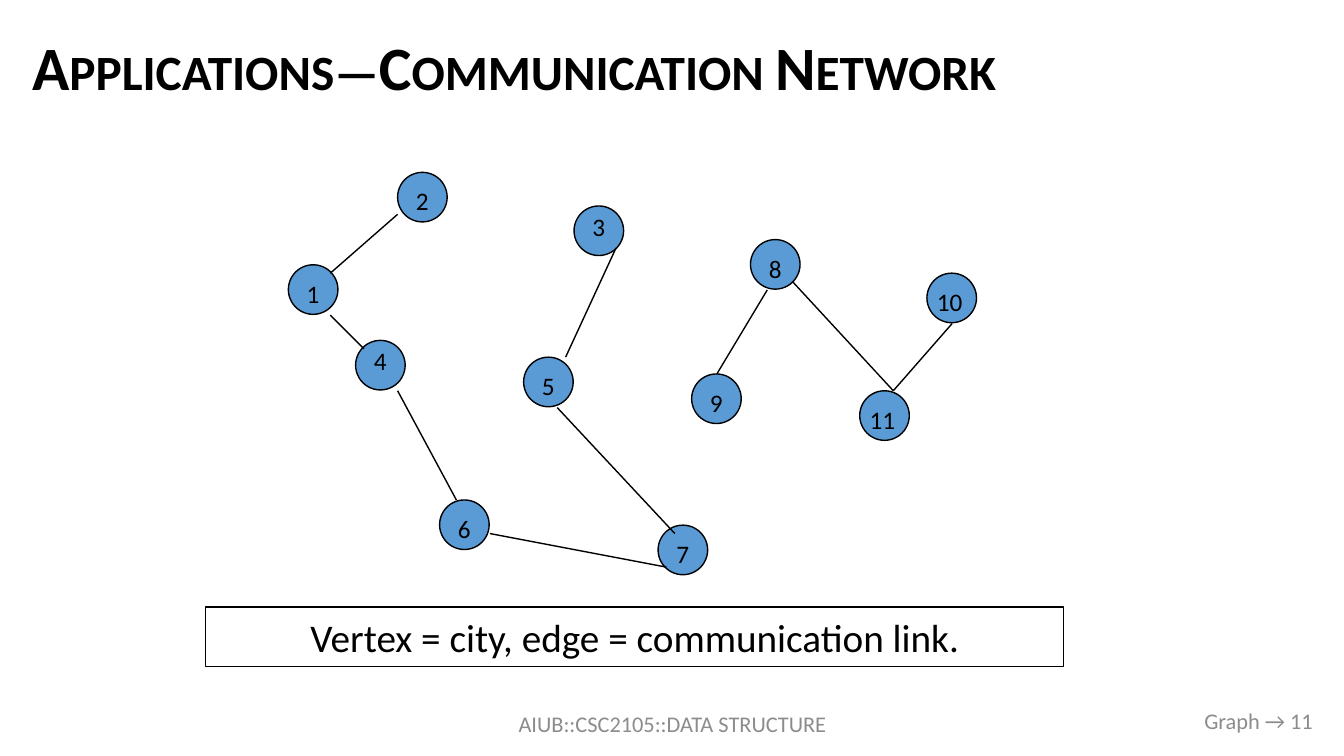
from dataclasses import dataclass

import pptx
import pptx.dml.color
import pptx.enum.shapes
import pptx.enum.text
import pptx.util
from lxml import etree

Align = pptx.enum.text.PP_ALIGN
Anchor = pptx.enum.text.MSO_ANCHOR


@dataclass(frozen=True)
class Theme:
    font: str = "Calibri"
    ink: str = "000000"
    muted: str = "8C8C8C"
    paper: str = "FFFFFF"
    node: str = "5B9BD5"
    title_size: int = 44
    caption_size: int = 28
    label_size: int = 18
    footer_size: int = 16
    line_width: int = 1


THEME = Theme()
WIDTH, HEIGHT = 13.33, 7.5

# The graph lies on a grid of twelve cells to the inch.
CELL = 1 / 12
GRAPH_LEFT, GRAPH_TOP = 2.86, 1.71
NODE_CELLS = 5.9

# number: (column, row, label column offset, label row offset)
CITIES = {
    1: (0, 11, 1, 1),
    2: (13, 0, 1, 1),
    3: (34, 4, 1, 0),
    8: (55, 8, 1, 1),
    10: (76, 12, 0, 1),
    4: (8, 20, 1, 0),
    5: (28, 22, 1, 1),
    9: (48, 24, 1, 1),
    11: (68, 26, 0, 1),
    6: (18, 39, 1, 1),
    7: (44, 42, 1, 1),
}

# (column, row) of both ends
LINKS = [
    ((13, 5), (5, 12)),
    ((5, 17), (9, 21)),
    ((13, 26), (20, 39)),
    ((24, 43), (45, 47)),
    ((39, 9), (33, 22)),
    ((32, 28), (46, 43)),
    ((57, 14), (51, 24)),
    ((60, 13), (72, 26)),
    ((72, 26), (79, 18)),
]


def color(code):
    return pptx.dml.color.RGBColor.from_string(code)


def inches(*lengths):
    return [pptx.util.Inches(length) for length in lengths]


def grid_point(column, row):
    return GRAPH_LEFT + column * CELL, GRAPH_TOP + row * CELL


def write(box, text, size, ink=THEME.ink, align=Align.LEFT, anchor=Anchor.MIDDLE):
    """Put one formatted run into the box and return its paragraph and run."""
    frame = box.text_frame
    frame.word_wrap = True
    frame.vertical_anchor = anchor
    para = frame.paragraphs[0]
    para.alignment = align
    span = para.add_run()
    span.text = text
    span.font.name = THEME.font
    span.font.size = pptx.util.Pt(size)
    span.font.color.rgb = color(ink)
    return para, span


def style_outline(item):
    item.line.color.rgb = color(THEME.ink)
    item.line.width = pptx.util.Pt(THEME.line_width)


def add_outlined_shape(shapes, kind, place, fill):
    shape = shapes.add_shape(kind, *inches(*place))
    shape.shadow.inherit = False
    shape.fill.solid()
    shape.fill.fore_color.rgb = color(fill)
    style_outline(shape)
    return shape


def add_title(page, text):
    box = page.shapes.add_textbox(*inches(0.22, 0.24, 12.9, 0.93))
    para, span = write(box, text, THEME.title_size)
    para.line_spacing = 0.9
    span.font.bold = True
    span.font._element.set("cap", "small")


def add_footer(page, place, text, align):
    box = page.shapes.add_textbox(*inches(*place))
    write(box, text, THEME.footer_size, THEME.muted, align)


def add_city(shapes, column, row):
    place = (*grid_point(column, row), NODE_CELLS * CELL, NODE_CELLS * CELL)
    add_outlined_shape(shapes, pptx.enum.shapes.MSO_SHAPE.OVAL, place, THEME.node)


def add_link(shapes, start, end):
    ends = inches(*grid_point(*start), *grid_point(*end))
    link = shapes.add_connector(pptx.enum.shapes.MSO_CONNECTOR.STRAIGHT, *ends)
    style_outline(link)
    etree.SubElement(link._element.spPr, pptx.oxml.ns.qn("a:effectLst"))


def add_city_label(shapes, number, column, row):
    text = str(number)
    place = (*grid_point(column, row), 3 * CELL * len(text), 0.43)
    box = shapes.add_textbox(*inches(*place))
    write(box, text, THEME.label_size, anchor=Anchor.TOP)


def add_network(page):
    shapes = page.shapes.add_group_shape().shapes
    for column, row, _, _ in CITIES.values():
        add_city(shapes, column, row)
    for start, end in LINKS:
        add_link(shapes, start, end)
    for number, (column, row, right, down) in CITIES.items():
        add_city_label(shapes, number, column + right, row + down)


def add_caption(page, text):
    place = (2.04, 6.02, 8.51, 0.59)
    box = add_outlined_shape(
        page.shapes, pptx.enum.shapes.MSO_SHAPE.RECTANGLE, place, THEME.paper
    )
    write(box, text, THEME.caption_size, align=Align.CENTER)


def main():
    deck = pptx.Presentation()
    deck.slide_width, deck.slide_height = inches(WIDTH, HEIGHT)
    page = deck.slides.add_slide(deck.slide_layouts[6])
    add_title(page, "Applications—Communication Network")
    add_footer(page, (4.42, 6.98, 4.5, 0.4), "AIUB::CSC2105::DATA STRUCTURE", Align.CENTER)
    add_footer(page, (10.12, 6.95, 3, 0.4), "Graph → 11", Align.RIGHT)
    add_network(page)
    add_caption(page, "Vertex = city, edge = communication link.")
    deck.save("out.pptx")


if __name__ == "__main__":
    main()
